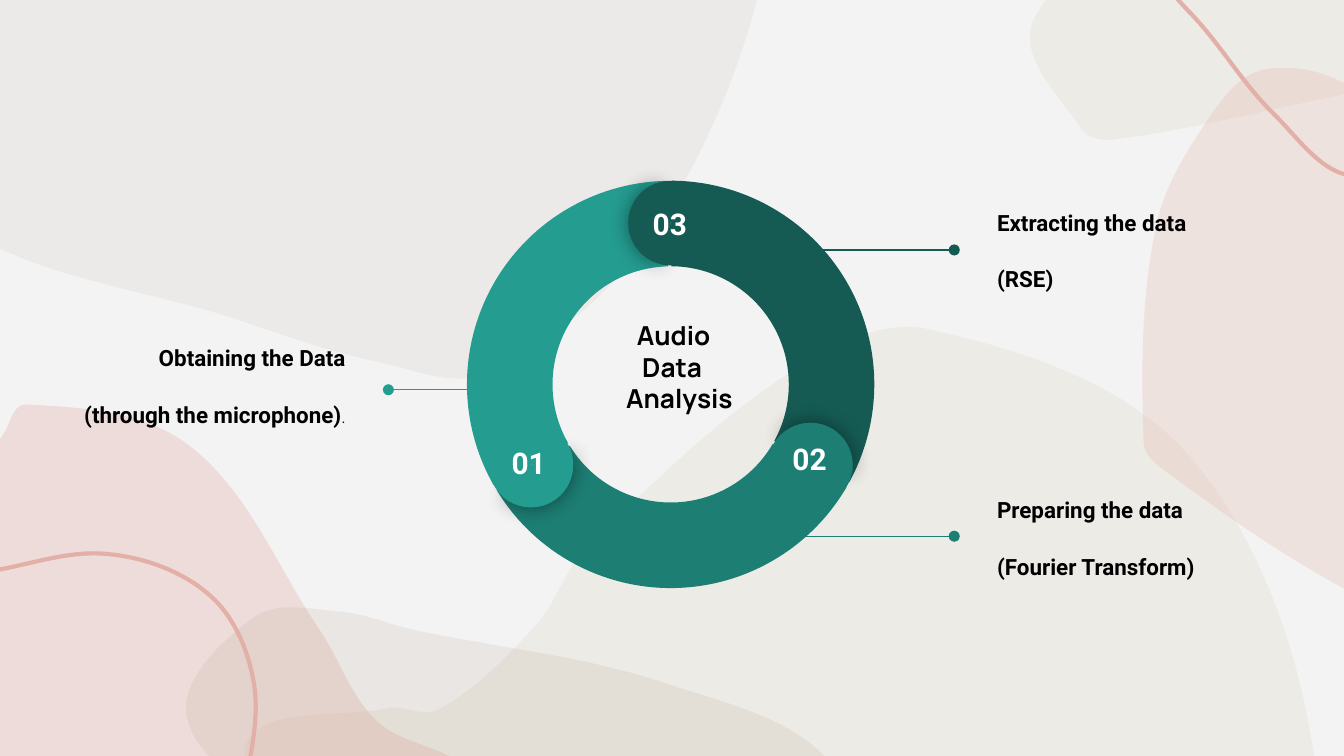
import math

import pptx
import pptx.util
import pptx.dml.color
import pptx.enum.shapes
import pptx.enum.text
import pptx.oxml.ns
from lxml import etree

PX = 9144  # EMU per px, 100 px to the inch
COLORS = {"paper": "F3F3F3", "taupe": "887C62", "sand": "E7E2D6", "rose": "E2B0A6",
          "brown": "AC9078", "light": "249C90", "mid": "1D7E74", "dark": "155B54",
          "black": "000000", "white": "FFFFFF"}

# Background blobs: colour, opacity %, points on a smooth closed outline
BLOBS = [
    ("taupe", 7, [(318, -362), (36, -364), (-138, -22), (-47, 156), (180, 239), (280, 269),
                  (364, 277), (490, 167), (573, -43), (564, -230)]),
    ("sand", 46, [(1142, -107), (1254, -25), (1161, 41), (1016, 67), (827, 104),
                  (804, 95), (769, 15), (867, -47)]),
    ("sand", 46, [(691, 245), (590, 276), (437, 407), (398, 466), (326, 528), (288, 527),
                  (182, 561), (283, 672), (465, 742), (920, 690), (982, 599), (888, 343)]),
    ("rose", 33, [(340, 824), (395, 645), (348, 572), (281, 537), (238, 469), (140, 331),
                  (19, 301), (2, 324), (-90, 441), (-142, 767)]),
    ("rose", 25, [(869, 352), (1000, 438), (1157, 506), (1339, 265), (1000, 62), (940, 52),
                  (905, 80), (861, 165), (851, 329)]),
    ("brown", 13, [(251, 455), (188, 460), (140, 537), (233, 603), (567, 666), (589, 657),
                   (625, 577), (494, 508), (309, 469)]),
]
STROKES = [
    [(1261, 84), (1010, 131), (949, 86), (886, 10), (810, -60), (675, -92), (500, -323)],
    [(-659, 404), (-428, 296), (-48, 425), (77, 412), (155, 442), (189, 509), (180, 604)],
]
# Callouts: lines, small ending, box left and top, alignment, leader from x, to x, y, colour
CALLOUTS = [
    (["Obtaining the Data", "(through the microphone)"], ".", 35, 217, "RIGHT", 358, 289, 290, "light"),
    (["Extracting the data", "(RSE)"], "", 732, 116, "LEFT", 570, 710, 186, "dark"),
    (["Preparing the data", "(Fourier Transform)"], "", 732, 330, "LEFT", 570, 710, 399, "mid"),
]
# Ring steps clockwise from the top: number, colour, corner of the number's box
STEPS = [("03", "dark", (474, 143)), ("02", "mid", (578, 318)), ("01", "light", (369, 321))]
RING_X, RING_Y, RING_SIZE, CAP_RADIUS, CAP_SIZE = 499, 286, 303, 120, 63
CENTER_LINES, CENTER_INDENTS = ["Audio", "Data", "Analysis"], [8, 12, 0]

presentation = pptx.Presentation()
presentation.slide_width, presentation.slide_height = 1000 * PX, int(562.5 * PX)
slide = presentation.slides.add_slide(presentation.slide_layouts[6])
shapes = slide.shapes
SHAPE = pptx.enum.shapes.MSO_SHAPE
qn = pptx.oxml.ns.qn


def rgb(name):
    return pptx.dml.color.RGBColor.from_string(COLORS[name])


def paint(shape, color, opacity=100):
    shape.shadow.inherit = False
    shape.line.fill.background()
    shape.fill.solid()
    shape.fill.fore_color.rgb = rgb(color)
    if opacity < 100:
        tint = shape._element.spPr.find(".//" + qn("a:srgbClr"))
        etree.SubElement(tint, qn("a:alpha"), val=str(opacity * 1000))


def smooth_outline(anchors, closed):
    """Cubic curves through the anchors; each tangent runs parallel to its neighbours' chord."""
    count = len(anchors)
    tangents = []
    for i in range(count):
        before = anchors[i - 1] if closed or i else anchors[0]
        after = anchors[(i + 1) % count] if closed or i < count - 1 else anchors[i]
        chord = math.dist(before, after)
        tangents.append(((after[0] - before[0]) / chord, (after[1] - before[1]) / chord))
    points = []
    for i in range(count if closed else count - 1):
        j = (i + 1) % count
        (x1, y1), (x2, y2) = anchors[i], anchors[j]
        reach = math.dist(anchors[i], anchors[j]) / 3
        points += [(x1 + tangents[i][0] * reach, y1 + tangents[i][1] * reach),
                   (x2 - tangents[j][0] * reach, y2 - tangents[j][1] * reach), (x2, y2)]
    builder = shapes.build_freeform(*anchors[0], scale=PX)
    builder.add_line_segments(points, close=closed)
    outline = builder.convert_to_shape()
    # Turn every three straight segments into one cubic curve
    path = outline._element.find(".//" + qn("a:path"))
    segments = path.findall(qn("a:lnTo"))
    for i in range(0, len(segments), 3):
        bezier = etree.Element(qn("a:cubicBezTo"))
        segments[i].addprevious(bezier)
        for segment in segments[i:i + 3]:
            bezier.append(segment[0])
            path.remove(segment)
    return outline


def preset(kind, x, y, size, rotation, adjustments, color):
    shape = shapes.add_shape(kind, int((x - size / 2) * PX), int((y - size / 2) * PX),
                             size * PX, size * PX)
    shape.rotation = rotation
    for i, value in enumerate(adjustments):
        shape.adjustments[i] = value
    paint(shape, color)
    return shape


def add_text(lines, box, size=12, font="Roboto", color="black", align="LEFT", anchor="TOP",
             gap=0, ending="", indents=(), right_inset=10):
    frame = shapes.add_textbox(*[v * PX for v in box]).text_frame
    frame.word_wrap = True
    frame.margin_left = frame.margin_top = frame.margin_bottom = 10 * PX
    frame.margin_right = right_inset * PX
    frame.vertical_anchor = getattr(pptx.enum.text.MSO_ANCHOR, anchor)
    for i, line in enumerate(lines):
        paragraph = frame.paragraphs[0] if i == 0 else frame.add_paragraph()
        paragraph.alignment = getattr(pptx.enum.text.PP_ALIGN, align)
        if i and gap:
            paragraph.space_before = paragraph.space_after = pptx.util.Pt(gap)
        if indents:
            paragraph._p.get_or_add_pPr().set("marL", str(indents[i] * PX))
        runs = [(line, size, True)]
        if ending and i == len(lines) - 1:
            runs.append((ending, 8, False))
        for words, points, bold in runs:
            run = paragraph.add_run()
            run.text = words
            run.font.size, run.font.bold, run.font.name = pptx.util.Pt(points), bold, font
            run.font.color.rgb = rgb(color)


# Background
slide.background.fill.solid()
slide.background.fill.fore_color.rgb = rgb("paper")
for color, opacity, anchors in BLOBS:
    paint(smooth_outline(anchors, True), color, opacity)
for anchors in STROKES:
    stroke = smooth_outline(anchors, False)
    stroke.shadow.inherit = False
    stroke.fill.background()
    stroke.line.color.rgb = rgb("rose")
    stroke.line.width = pptx.util.Pt(2.25)

# Callouts with leader lines
for lines, ending, left, top, align, x1, x2, y, color in CALLOUTS:
    add_text(lines, (left, top, 232, 141), align=align, anchor="MIDDLE", gap=16, ending=ending)
    leader = shapes.add_connector(pptx.enum.shapes.MSO_CONNECTOR.STRAIGHT,
                                  x1 * PX, y * PX, x2 * PX, y * PX)
    leader.line.color.rgb = rgb(color)
    leader.line.width = pptx.util.Pt(0.75)
    etree.SubElement(leader._element.spPr.find(qn("a:ln")), qn("a:tailEnd"), type="oval")
    etree.SubElement(leader._element.spPr, qn("a:effectLst"))

# Ring arcs, then the rounded caps with their numbers
for i, (number, color, corner) in enumerate(STEPS):
    preset(SHAPE.BLOCK_ARC, RING_X, RING_Y, RING_SIZE, 60 + 120 * i, (126.23, 197.2, 0.21), color)
for i, (number, color, corner) in enumerate(STEPS):
    angle = 120 * i
    x = RING_X + CAP_RADIUS * math.sin(math.radians(angle))
    y = RING_Y - CAP_RADIUS * math.cos(math.radians(angle))
    shaded = preset(SHAPE.PIE, x, y, CAP_SIZE, angle + 0.7, (61.9, 149.96), color)
    effects = shaded._element.spPr.find(qn("a:effectLst"))
    shadow = etree.SubElement(effects, qn("a:outerShdw"), blurRad=str(pptx.util.Pt(11.2)),
                              algn="bl", rotWithShape="0")
    tint = etree.SubElement(shadow, qn("a:srgbClr"), val=COLORS["black"])
    etree.SubElement(tint, qn("a:alpha"), val="43000")
    preset(SHAPE.PIE, x, y, CAP_SIZE, (angle + 180) % 360, (40.28, 171.84), color)
    add_text([number], (*corner, 56, 29), size=16, color="white", align="CENTER", right_inset=17)

# Ring centre
add_text(CENTER_LINES, (456, 228, 139, 91), size=14, font="Manrope", indents=CENTER_INDENTS)

presentation.save("out.pptx")
